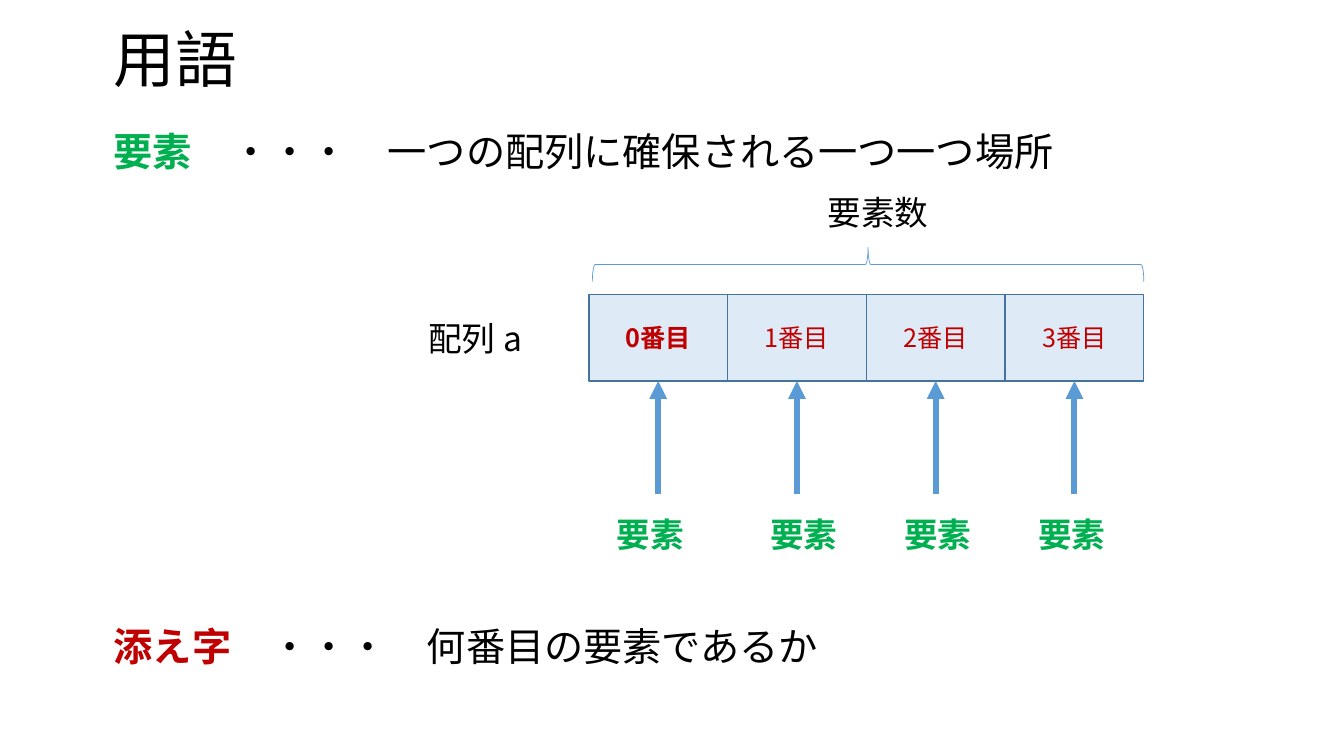
from lxml.etree import SubElement
from pptx import Presentation
from pptx.dml.color import RGBColor
from pptx.enum.shapes import MSO_CONNECTOR, MSO_SHAPE
from pptx.enum.text import MSO_ANCHOR, PP_ALIGN
from pptx.oxml.ns import qn
from pptx.util import Inches, Pt

FONT = "Noto Sans CJK JP"
BLACK, GREEN, RED = "000000", "00B050", "C00000"
BLUE, CELL_FILL, CELL_LINE = "5B9BD5", "DEEBF7", "43739E"

CELL_COUNT = 4
ARRAY_LEFT, ARRAY_TOP = 5.84, 2.92
CELL_WIDTH, CELL_HEIGHT = 1.376, 0.86
ARROW_START = 4.9
ELEMENT_LABEL_TABS = (1.52, 2.85, 4.18)


def color(value):
    return RGBColor.from_string(value)


def set_attributes(target, values):
    for name, value in values.items():
        setattr(target, name, value)


def add_run(paragraph, text, size, text_color, bold=False):
    run = paragraph.add_run()
    run.text = text
    set_attributes(run.font, {"size": Pt(size), "bold": bold, "name": FONT})
    run.font.color.rgb = color(text_color)
    SubElement(run.font._element, qn("a:ea"), typeface=FONT)


def add_text(slide, box, runs, size, anchor=MSO_ANCHOR.TOP):
    """Add a text box whose runs are (text, color, bold) and return its paragraph."""
    frame = slide.shapes.add_textbox(*map(Inches, box)).text_frame
    set_attributes(frame, {"word_wrap": True, "vertical_anchor": anchor})
    paragraph = frame.paragraphs[0]
    for text, text_color, bold in runs:
        add_run(paragraph, text, size, text_color, bold)
    return paragraph


def add_tab_stops(paragraph, positions):
    tab_list = SubElement(paragraph._p.get_or_add_pPr(), qn("a:tabLst"))
    for position in positions:
        SubElement(tab_list, qn("a:tab"), pos=str(Inches(position)), algn="l")


def add_definition(slide, box, term, term_color, meaning):
    add_text(slide, box, [(term, term_color, True), (f"　・・・　{meaning}", BLACK, False)], 28)


def add_cell(slide, left, index):
    cell = slide.shapes.add_shape(
        MSO_SHAPE.RECTANGLE, *map(Inches, (left, ARRAY_TOP, CELL_WIDTH, CELL_HEIGHT)))
    cell.shadow.inherit = False
    cell.fill.solid()
    cell.fill.fore_color.rgb = color(CELL_FILL)
    cell.line.color.rgb = color(CELL_LINE)
    cell.line.width = Pt(1)
    cell.text_frame.vertical_anchor = MSO_ANCHOR.MIDDLE
    paragraph = cell.text_frame.paragraphs[0]
    paragraph.alignment = PP_ALIGN.CENTER
    add_run(paragraph, f"{index}番目", 18, RED, bold=index == 0)


def add_up_arrow(slide, center):
    arrow = slide.shapes.add_connector(
        MSO_CONNECTOR.STRAIGHT,
        *map(Inches, (center, ARROW_START, center, ARRAY_TOP + CELL_HEIGHT)))
    arrow.line.color.rgb = color(BLUE)
    arrow.line.width = Pt(4.25)
    SubElement(arrow.line._get_or_add_ln(), qn("a:tailEnd"), type="triangle")
    SubElement(arrow._element.spPr, qn("a:effectLst"))


def add_brace(slide, box):
    """Add a right brace turned to point up; box is its frame before turning."""
    brace = slide.shapes.add_shape(MSO_SHAPE.RIGHT_BRACE, *map(Inches, box))
    brace.rotation = 270
    brace.shadow.inherit = False
    brace.fill.background()
    brace.line.color.rgb = color(BLUE)
    brace.line.width = Pt(0.5)


def add_array_diagram(slide):
    add_text(slide, (4.15, 3.1, 1.35, 0.5), [("配列 a", BLACK, False)], 24)
    for index in range(CELL_COUNT):
        left = ARRAY_LEFT + index * CELL_WIDTH
        add_cell(slide, left, index)
        add_up_arrow(slide, left + CELL_WIDTH / 2)
    labels = "\t".join(["要素"] * CELL_COUNT)
    paragraph = add_text(slide, (6.02, 5.05, 5.35, 0.5), [(labels, GREEN, True)], 24)
    add_tab_stops(paragraph, ELEMENT_LABEL_TABS)
    add_brace(slide, (8.44, -0.11, 0.34, 5.47))
    add_text(slide, (8.11, 1.85, 1.28, 0.5), [("要素数", BLACK, False)], 24)


def main():
    presentation = Presentation()
    set_attributes(presentation, {"slide_width": Inches(13.33), "slide_height": Inches(7.5)})
    slide = presentation.slides.add_slide(presentation.slide_layouts[6])
    title = add_text(
        slide, (1.03, 0.17, 11.5, 0.9), [("用語", BLACK, False)], 44, MSO_ANCHOR.MIDDLE)
    title.line_spacing = 0.9
    add_definition(
        slide, (1.03, 1.21, 10.17, 0.59), "要素", GREEN, "一つの配列に確保される一つ一つ場所")
    add_array_diagram(slide)
    add_definition(slide, (1.03, 6.12, 8.36, 0.57), "添え字", RED, "何番目の要素であるか")
    presentation.save("out.pptx")


if __name__ == "__main__":
    main()
